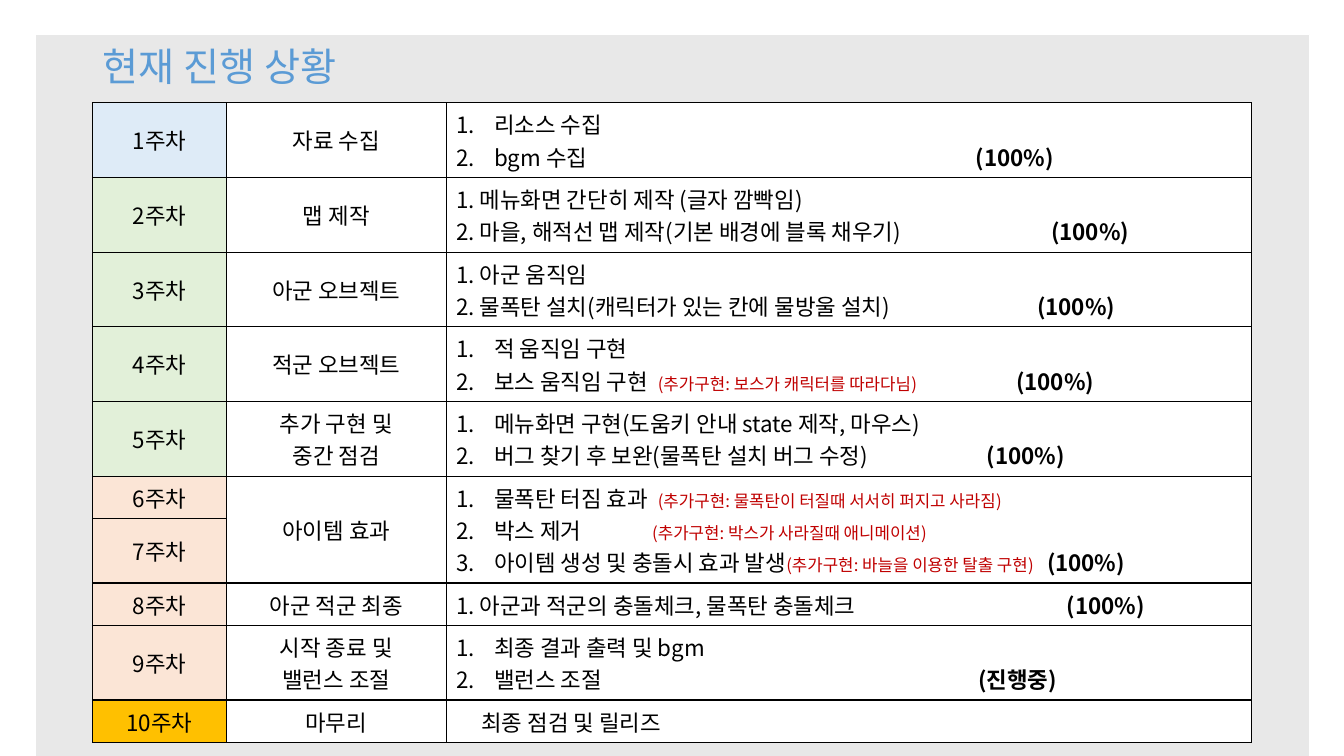
from dataclasses import dataclass

import pptx
import pptx.dml.color
import pptx.enum.shapes
import pptx.enum.text
import pptx.oxml
import pptx.oxml.ns
import pptx.oxml.xmlchemy
import pptx.util

Pt = pptx.util.Pt
RGB = pptx.dml.color.RGBColor.from_string
ALIGN = pptx.enum.text.PP_ALIGN
MIDDLE = pptx.enum.text.MSO_ANCHOR.MIDDLE
NAMESPACE = pptx.oxml.ns.nsdecls("a")


@dataclass(frozen=True)
class Theme:
    font: str = "Noto Sans CJK KR"
    title_size: float = 28
    body_size: float = 16
    note_size: float = 12
    title: str = "5B9BD5"
    ink: str = "000000"
    note: str = "C00000"
    panel: str = "E8E8E8"
    paper: str = "FFFFFF"
    research: str = "DEEBF7"
    build: str = "E2F0D9"
    effects: str = "FBE5D6"
    release: str = "FFC000"


THEME = Theme()
NUMBER_INDENT = 27


@dataclass(frozen=True)
class Task:
    """One task line; stops are points from the left edge of the text."""
    text: str
    status: str = ""
    status_stop: float = 0
    note: str = ""
    note_stop: float = 0
    numbered: bool = True
    indent: float = 0


@dataclass(frozen=True)
class Week:
    color: str
    height: float
    topics: tuple[str, ...] = ()
    tasks: tuple[Task, ...] = ()
    span: int = 1


DONE = "(100%)"
WEEKS = (
    Week(THEME.research, 46, ("자료 수집",), (
        Task("리소스 수집"),
        Task("bgm 수집", DONE, 398))),
    Week(THEME.build, 46, ("맵 제작",), (
        Task("1. 메뉴화면 간단히 제작 (글자 깜빡임)", numbered=False),
        Task("2. 마을, 해적선 맵 제작(기본 배경에 블록 채우기)", DONE, 425, numbered=False))),
    Week(THEME.build, 46, ("아군 오브젝트",), (
        Task("1. 아군 움직임", numbered=False),
        Task("2. 물폭탄 설치(캐릭터가 있는 칸에 물방울 설치)", DONE, 415, numbered=False))),
    Week(THEME.build, 46, ("적군 오브젝트",), (
        Task("적 움직임 구현"),
        Task("보스 움직임 구현", DONE, 427, "(추가구현: 보스가 캐릭터를 따라다님)", 171))),
    Week(THEME.build, 37.5, ("추가 구현 및", "중간 점검"), (
        Task("메뉴화면 구현(도움키 안내 state 제작, 마우스)"),
        Task("버그 찾기 후 보완(물폭탄 설치 버그 수정)", DONE, 406))),
    Week(THEME.effects, 29.5, ("아이템 효과",), (
        Task("물폭탄 터짐 효과", note="(추가구현: 물폭탄이 터질때 서서히 퍼지고 사라짐)", note_stop=171),
        Task("박스 제거", note="(추가구현: 박스가 사라질때 애니메이션)", note_stop=167),
        Task("아이템 생성 및 충돌시 효과 발생", DONE, 449, "(추가구현: 바늘을 이용한 탈출 구현)")),
        span=2),
    Week(THEME.effects, 27.5),
    Week(THEME.effects, 26, ("아군 적군 최종",), (
        Task("1. 아군과 적군의 충돌체크, 물폭탄 충돌체크", DONE, 436, numbered=False),)),
    Week(THEME.effects, 46, ("시작 종료 및", "밸런스 조절"), (
        Task("최종 결과 출력 및 bgm"),
        Task("밸런스 조절", "(진행중)", 400))),
    Week(THEME.release, 26, ("마무리",), (
        Task("최종 점검 및 릴리즈", numbered=False, indent=18),)),
)
COLUMN_WIDTHS = (95.8, 156.9, 575.5)


def add_run(paragraph, text: str, size: float = THEME.body_size,
            color: str = THEME.ink, bold: bool = False) -> None:
    run = paragraph.add_run()
    run.text = text
    for attribute, value in {"name": THEME.font, "size": Pt(size), "bold": bold}.items():
        setattr(run.font, attribute, value)
    run.font.color.rgb = RGB(color)
    east_asian = pptx.oxml.parse_xml(f'<a:ea {NAMESPACE} typeface="{THEME.font}"/>')
    run._r.get_or_add_rPr().append(east_asian)


def paragraph_at(frame, index: int):
    return frame.paragraphs[0] if index == 0 else frame.add_paragraph()


def write_centred(frame, lines: tuple[str, ...]) -> None:
    for index, line in enumerate(lines):
        paragraph = paragraph_at(frame, index)
        paragraph.alignment = ALIGN.CENTER
        add_run(paragraph, line)


def write_task(paragraph, task: Task) -> None:
    properties = paragraph._p.get_or_add_pPr()
    indent = NUMBER_INDENT if task.numbered else task.indent
    if indent:
        properties.set("marL", str(Pt(indent)))
    if task.numbered:
        properties.set("indent", str(-Pt(indent)))
        properties.append(pptx.oxml.parse_xml(
            f'<a:buAutoNum {NAMESPACE} type="arabicPeriod"/>'))

    # Tab stops count from the indent
    stops = [stop - indent for stop in (task.note_stop, task.status_stop) if stop]
    if stops:
        tabs = "".join(f'<a:tab pos="{Pt(stop)}" algn="l"/>' for stop in stops)
        properties.append(pptx.oxml.parse_xml(f"<a:tabLst {NAMESPACE}>{tabs}</a:tabLst>"))

    add_run(paragraph, task.text + ("\t" if task.note_stop else ""))
    if task.note:
        add_run(paragraph, task.note, THEME.note_size, THEME.note)
    if task.status:
        add_run(paragraph, "\t" + task.status, bold=True)


def format_cell(cell, color: str) -> None:
    cell.vertical_anchor = MIDDLE
    cell.fill.solid()
    cell.fill.fore_color.rgb = RGB(color)
    properties = cell._tc.get_or_add_tcPr()
    for index, side in enumerate(("lnL", "lnR", "lnT", "lnB")):
        properties.insert(index, pptx.oxml.parse_xml(
            f'<a:{side} {NAMESPACE} w="{Pt(1)}"><a:solidFill>'
            f'<a:srgbClr val="{THEME.ink}"/></a:solidFill></a:{side}>'))


def add_panel(slide) -> None:
    panel = slide.shapes.add_shape(pptx.enum.shapes.MSO_SHAPE.RECTANGLE,
                                   Pt(25.5), Pt(24.5), Pt(910), Pt(515.5))
    panel.shadow.inherit = False
    panel.fill.solid()
    panel.fill.fore_color.rgb = RGB(THEME.panel)
    panel.line.color.rgb = RGB(THEME.paper)
    panel.line.width = Pt(0.5)
    slide.shapes._spTree.insert(2, panel._element)  # behind the title


def write_title(slide) -> None:
    title = slide.shapes.title
    box = {"left": Pt(66), "top": Pt(29), "width": Pt(828), "height": Pt(41)}
    for attribute, value in box.items():
        setattr(title, attribute, value)
    frame = title.text_frame
    layout = {"vertical_anchor": MIDDLE, "word_wrap": True,
              "auto_size": pptx.enum.text.MSO_AUTO_SIZE.NONE}
    for attribute, value in layout.items():
        setattr(frame, attribute, value)
    heading = frame.paragraphs[0]
    heading.alignment = ALIGN.LEFT
    heading.line_spacing = 0.9
    add_run(heading, "현재 진행 상황", THEME.title_size, THEME.title)


def add_schedule(slide) -> None:
    schedule = slide.shapes.add_table(
        len(WEEKS), len(COLUMN_WIDTHS), Pt(66), Pt(73.5), Pt(sum(COLUMN_WIDTHS)),
        Pt(sum(week.height for week in WEEKS))).table
    schedule.first_row = False
    schedule.horz_banding = False
    for column, width in zip(schedule.columns, COLUMN_WIDTHS):
        column.width = Pt(width)

    for row, week in enumerate(WEEKS):
        schedule.rows[row].height = Pt(week.height)
        label, topic, details = (schedule.cell(row, column) for column in range(3))
        for cell, color in ((label, week.color), (topic, THEME.paper), (details, THEME.paper)):
            format_cell(cell, color)
        write_centred(label.text_frame, (f"{row + 1}주차",))
        write_centred(topic.text_frame, week.topics)
        for index, task in enumerate(week.tasks):
            write_task(paragraph_at(details.text_frame, index), task)
        if week.span > 1:
            for column, cell in ((1, topic), (2, details)):
                cell.merge(schedule.cell(row + week.span - 1, column))


def main() -> None:
    deck = pptx.Presentation()
    deck.slide_width, deck.slide_height = Pt(960), Pt(540)
    slide = deck.slides.add_slide(deck.slide_layouts[5])
    add_panel(slide)
    write_title(slide)
    add_schedule(slide)
    deck.save("out.pptx")


if __name__ == "__main__":
    main()
